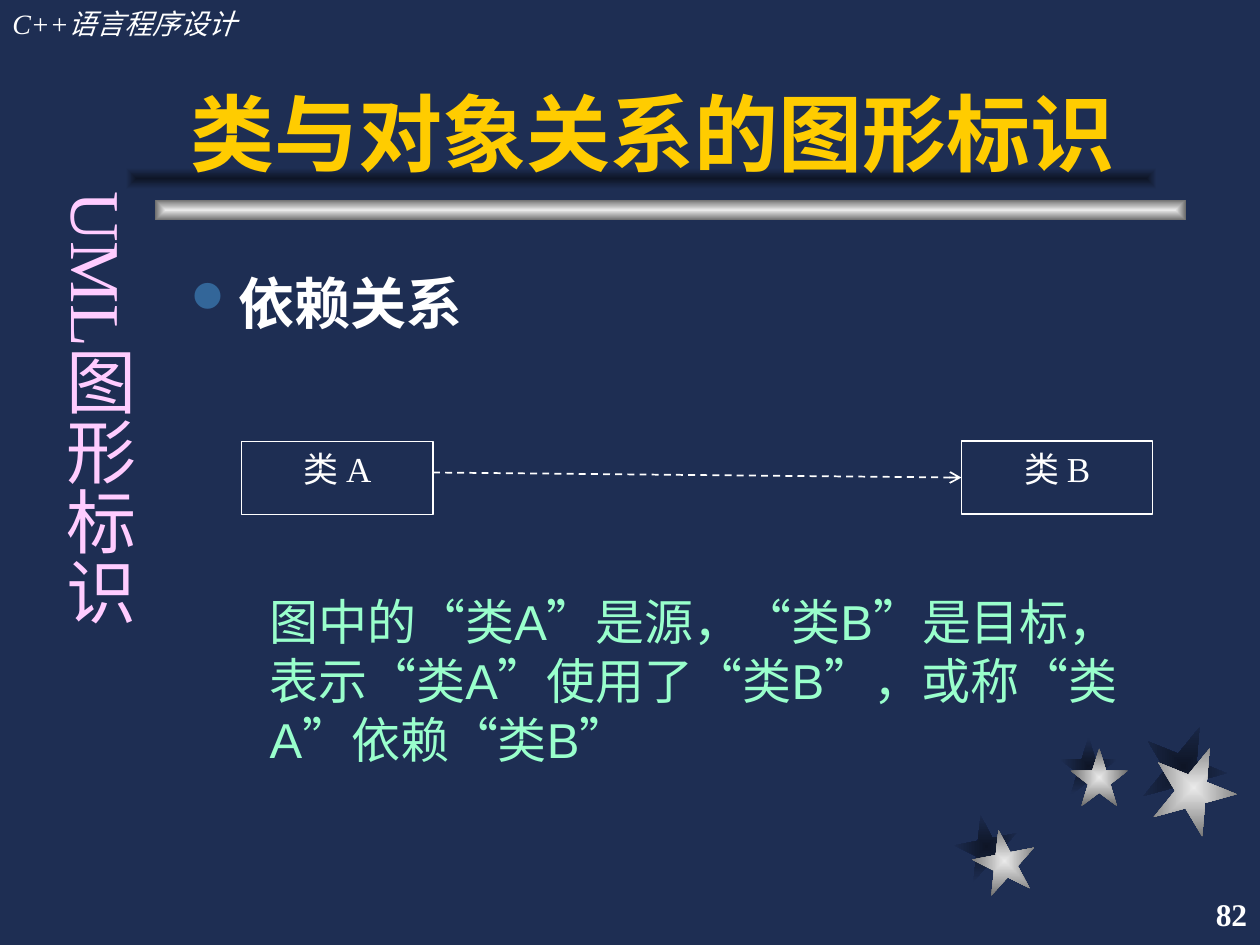
import pptx
import pptx.util
import pptx.dml.color
import pptx.enum.dml
import pptx.enum.lang
import pptx.enum.shapes
import pptx.enum.text
import pptx.oxml
import pptx.oxml.ns

Pt = pptx.util.Pt
SHAPE = pptx.enum.shapes.MSO_SHAPE
ALIGN = pptx.enum.text.PP_ALIGN
ANCHOR = pptx.enum.text.MSO_ANCHOR
qn = pptx.oxml.ns.qn

BACKGROUND, WHITE, GOLD = "1E2E53", "FFFFFF", "FFCC00"
MINT, PINK, BULLET = "99FFCC", "FFCCFF", "336699"
SHADE = ("0E1526", BACKGROUND)
SILVER = ("EAEAEA", "6C6C6C")
SERIF, SANS = "Times New Roman", "Arial"

COURSE = "C++语言程序设计"
TITLE = "类与对象关系的图形标识"
TOPIC = "UML图形标识"
PAGE = "82"
HEADING = "依赖关系"
EXPLANATION = "图中的“类A”是源，“类B”是目标，表示“类A”使用了“类B”，或称“类A”依赖“类B”"

# left, top, size, rotation
SHADOW_STARS = [(545.8, 465.8, 36, 349), (605.5, 421.2, 33.1, 0), (652.3, 414, 48.2, 22)]
SILVER_STARS = [(556, 474, 36, 349), (611.6, 427.7, 33.1, 0), (658.1, 426, 48.2, 22)]
BAR_SIZE = (589, 12)
BARS = [(88.6, 114, SILVER), (72, 96, SHADE)]
CLASS_SIZE = (109.4, 41.8)
CLASSES = [("类 A", 138, 252.3), ("类 B", 549.4, 252)]


def rgb(value):
    return pptx.dml.color.RGBColor.from_string(value)


def xml(tag, body=""):
    return pptx.oxml.parse_xml(f"<a:{tag} {pptx.oxml.ns.nsdecls('a')}{body}")


def add_glow(kind, left, top, width, height, colors, rotation=0):
    """Add a borderless shape whose gradient runs from its centre to its edges."""
    s = slide.shapes.add_shape(kind, Pt(left), Pt(top), Pt(width), Pt(height))
    s.shadow.inherit = False
    s.rotation = rotation
    s.line.fill.background()
    s.fill.gradient()
    for stop, color in zip(s.fill.gradient_stops, colors):
        stop.color.rgb = rgb(color)
    linear = s._element.spPr.find(".//" + qn("a:lin"))
    linear.getparent().replace(linear, xml(
        "path", ' path="rect"><a:fillToRect l="50000" t="50000" r="50000" b="50000"/></a:path>'))


def add_run(p, text, size, color, font, bold=False, italic=False):
    r = p.add_run()
    r.text = text
    r.font.size = Pt(size)
    r.font.name = font
    r.font.bold = bold
    r.font.italic = italic
    r.font.color.rgb = rgb(color)
    r.font.language_id = pptx.enum.lang.MSO_LANGUAGE_ID.SIMPLIFIED_CHINESE


def add_box(left, top, width, height, anchor=ANCHOR.TOP, wrap=True):
    s = slide.shapes.add_textbox(Pt(left), Pt(top), Pt(width), Pt(height))
    tf = s.text_frame
    tf.word_wrap = wrap
    tf.vertical_anchor = anchor
    return tf


def add_class(name, left, top):
    s = slide.shapes.add_shape(SHAPE.RECTANGLE, Pt(left), Pt(top), *map(Pt, CLASS_SIZE))
    s.shadow.inherit = False
    s.fill.background()
    s.line.color.rgb = rgb(WHITE)
    s.line.width = Pt(0.75)
    s.text_frame.vertical_anchor = ANCHOR.TOP
    p = s.text_frame.paragraphs[0]
    p.alignment = ALIGN.CENTER
    add_run(p, name, 20, WHITE, SERIF)
    return s


def add_dependency(source, target):
    line = slide.shapes.add_connector(
        pptx.enum.shapes.MSO_CONNECTOR.STRAIGHT,
        source.left + source.width, Pt(270), target.left, Pt(272.2))
    line.end_connect(target, 1)
    line.line.color.rgb = rgb(WHITE)
    line.line.width = Pt(1)
    line.line.dash_style = pptx.enum.dml.MSO_LINE.DASH
    line.line._get_or_add_ln().append(xml("tailEnd", ' type="arrow"/>'))
    line._element.spPr.append(xml("effectLst", "/>"))


prs = pptx.Presentation()
prs.slide_width, prs.slide_height = Pt(720), Pt(540)
slide = prs.slides.add_slide(prs.slide_layouts[6])
slide.background.fill.solid()
slide.background.fill.fore_color.rgb = rgb(BACKGROUND)

for stars, colors in ((SHADOW_STARS, SHADE), (SILVER_STARS, SILVER)):
    for left, top, size, rotation in stars:
        add_glow(SHAPE.STAR_5_POINT, left, top, size, size, colors, rotation)
for left, top, colors in BARS:
    add_glow(SHAPE.RECTANGLE, left, top, *BAR_SIZE, colors)

tf = add_box(0, 0, 221.8, 26.6)
add_run(tf.paragraphs[0], COURSE, 16, WHITE, SERIF, italic=True)

tf = add_box(570, 504, 149.8, 36, ANCHOR.MIDDLE, wrap=False)
tf.paragraphs[0].alignment = ALIGN.RIGHT
add_run(tf.paragraphs[0], PAGE, 18, WHITE, SERIF, bold=True)

tf = add_box(102, 18, 564, 90, ANCHOR.BOTTOM)
add_run(tf.paragraphs[0], TITLE, 48, GOLD, SANS, bold=True)

tf = add_box(102, 150, 570, 324)
p = tf.paragraphs[0]
p.space_before = Pt(8)
pPr = p._p.get_or_add_pPr()
pPr.set("marL", str(Pt(27)))
pPr.set("indent", str(Pt(-27)))
pPr.append(xml("buClr", f'><a:srgbClr val="{BULLET}"/></a:buClr>'))
pPr.append(xml("buSzPct", ' val="80000"/>'))
pPr.append(xml("buFont", ' typeface="Wingdings" pitchFamily="2" charset="2"/>'))
pPr.append(xml("buChar", ' char="l"/>'))
add_run(p, HEADING, 32, WHITE, SANS, bold=True)
p = tf.add_paragraph()
p.space_before = Pt(146)
pPr = p._p.get_or_add_pPr()
pPr.set("marL", str(Pt(45)))
pPr.set("hangingPunct", "0")
add_run(p, EXPLANATION, 28, MINT, SANS)

class_a, class_b = [add_class(*item) for item in CLASSES]
add_dependency(class_a, class_b)

tf = add_box(22.3, 102.2, 61.9, 372.2)
tf.margin_left = tf.margin_right = Pt(3.6)
tf.margin_top = tf.margin_bottom = Pt(7.2)
tf._txBody.bodyPr.set("vert", "eaVert")
tf.paragraphs[0].alignment = ALIGN.CENTER
add_run(tf.paragraphs[0], TOPIC, 40, PINK, SERIF)

prs.save("out.pptx")
